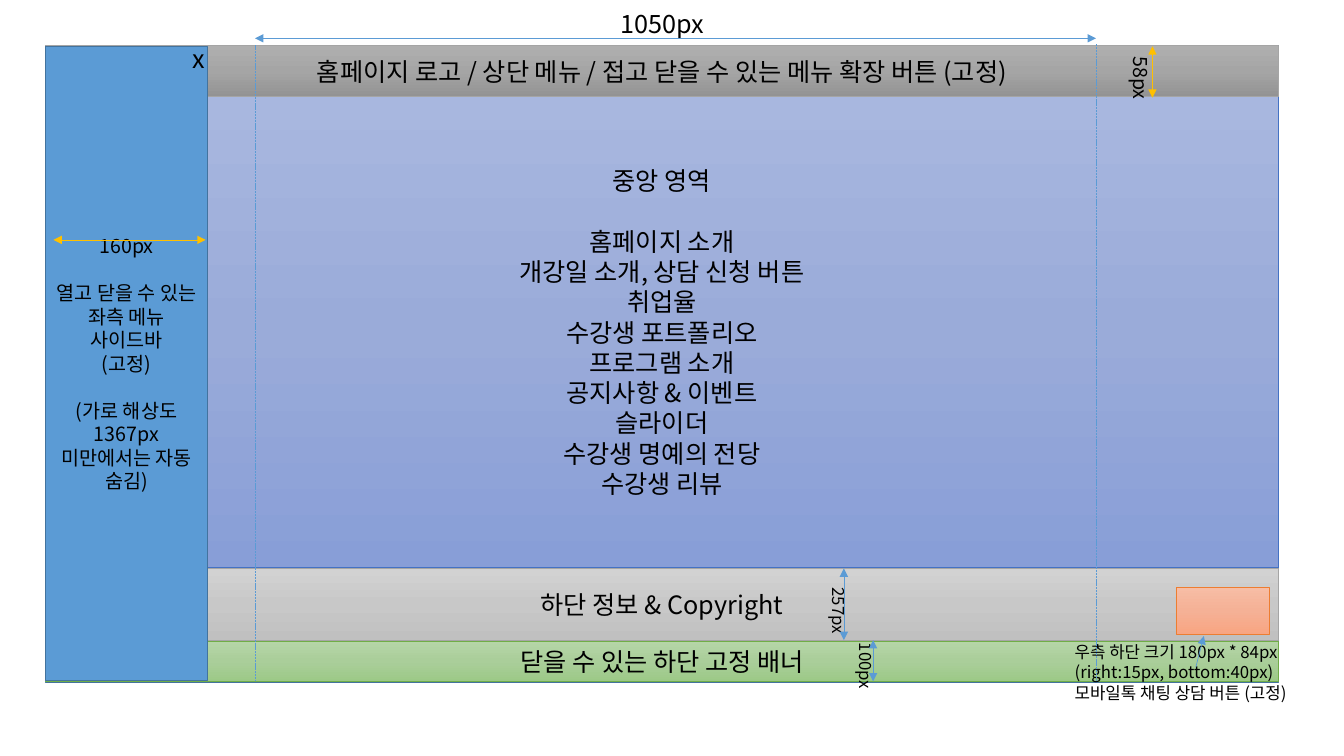
from dataclasses import dataclass
from copy import deepcopy
from lxml import etree
from pptx import Presentation
from pptx.dml.color import RGBColor
from pptx.enum.dml import MSO_LINE
from pptx.enum.shapes import MSO_CONNECTOR, MSO_SHAPE
from pptx.enum.text import PP_ALIGN
from pptx.oxml.ns import qn
from pptx.util import Inches, Pt

RECT = MSO_SHAPE.RECTANGLE
STRAIGHT = MSO_CONNECTOR.STRAIGHT
CENTER, LEFT = PP_ALIGN.CENTER, PP_ALIGN.LEFT
DASH = MSO_LINE.SQUARE_DOT


@dataclass(frozen=True)
class Theme:
    font: str = "Noto Sans CJK KR"
    large: int = 18
    medium: int = 14
    small: int = 12
    line_height: float = 1.2
    text: str = "000000"
    page: str = "E7E6E6"
    blue: str = "5B9BD5"
    navy: str = "43739E"
    gold: str = "FFC000"
    gray: str = "A5A5A5"
    green: str = "70AD47"
    indigo: str = "4472C4"
    orange: str = "ED7D31"
    header: tuple = ("AFAFAF", "A5A5A5", "939393")
    center: tuple = ("A8B7DF", "9AABD9", "889ED7")
    footer: tuple = ("D2D2D2", "C8C8C8", "C0C0C0")
    banner: tuple = ("B5D5A7", "AACE9A", "9CC987")
    button: tuple = ("F7BDA5", "F5B196", "F8A582")


T = Theme()


def write(tf, blocks, size, align):
    tf.word_wrap = True
    p = tf.paragraphs[0]
    for b, block in enumerate(blocks):
        for i, text in enumerate(block):
            if b or i:
                p = tf.add_paragraph()
            if b and i == 0:
                p.space_before = Pt(size * T.line_height)
            p.text = text
            p.alignment = align
            p.font.size = Pt(size)
            p.font.color.rgb = RGBColor.from_string(T.text)
            p.font.name = T.font
            ea = etree.SubElement(p._p.pPr.find(qn("a:defRPr")), qn("a:ea"))
            ea.set("typeface", T.font)


def add_box(x, y, w, h, fill, line, width, blocks=(), size=T.large):
    sp = s.shapes.add_shape(RECT, Inches(x), Inches(y), Inches(w), Inches(h))
    sp.shadow.inherit = False
    sp.line.color.rgb = RGBColor.from_string(line)
    sp.line.width = Pt(width)
    if isinstance(fill, str):
        sp.fill.solid()
        sp.fill.fore_color.rgb = RGBColor.from_string(fill)
    else:
        sp.fill.gradient()
        sp.fill.gradient_angle = 270
        first = sp.fill.gradient_stops[0]._gs
        first.addnext(deepcopy(first))
        for stop, color, pos in zip(sp.fill.gradient_stops, fill, (0, 0.5, 1)):
            stop.color.rgb = RGBColor.from_string(color)
            stop.position = pos
    write(sp.text_frame, blocks, size, CENTER)


prs = Presentation()
prs.slide_width, prs.slide_height = Inches(13.33), Inches(7.5)
s = prs.slides.add_slide(prs.slide_layouts[6])

page_x, page_w = 0.45, 12.23
add_box(page_x, 0.45, page_w, 6.32, T.page, T.navy, 1)

center_text = [
    ["중앙 영역"],
    ["홈페이지 소개", "개강일 소개, 상담 신청 버튼", "취업율", "수강생 포트폴리오",
     "프로그램 소개", "공지사항 & 이벤트", "슬라이더", "수강생 명예의 전당", "수강생 리뷰"],
]
bands = [
    (5.64, 0.71, T.footer, T.gray, [["하단 정보 & Copyright"]]),
    (6.36, 0.4, T.banner, T.green, [["닫을 수 있는 하단 고정 배너"]]),
    (0.96, 4.67, T.center, T.indigo, center_text),
    (0.45, 0.51, T.header, T.gray,
     [["홈페이지 로고 / 상단 메뉴 / 접고 닫을 수 있는 메뉴 확장 버튼 (고정)"]]),
]
for y, h, fill, line, blocks in bands:
    add_box(page_x, y, page_w, h, fill, line, 0.5, blocks)

sidebar_text = [
    ["160px"],
    ["열고 닫을 수 있는 좌측 메뉴", "사이드바", "(고정)"],
    ["(가로 해상도 1367px 미만에서는 자동 숨김)"],
]
add_box(page_x, 0.46, 1.61, 6.29, T.blue, T.navy, 1, sidebar_text, T.medium)
add_box(11.67, 5.83, 0.92, 0.46, T.button, T.orange, 0.5)

button_note = ["우측 하단 크기 180px * 84px", "(right:15px, bottom:40px)",
               "모바일톡 채팅 상담 버튼 (고정)"]
labels = [
    (1.81, 0.38, 0.47, 0.4, ["x"], T.large, False),
    (6.06, 0.03, 1.62, 0.4, ["1050px"], T.large, False),
    (10.56, 6.32, 2.75, 0.71, button_note, T.small, False),
    (11.05, 0.46, 0.44, 0.97, ["58px"], T.medium, True),
    (8.34, 6.28, 0.4, 0.74, ["100px"], T.small, True),
    (8.07, 5.73, 0.4, 1.02, ["257px"], T.small, True),
]
for x, y, w, h, lines, size, vertical in labels:
    tb = s.shapes.add_textbox(Inches(x), Inches(y), Inches(w), Inches(h))
    write(tb.text_frame, [lines], size, LEFT)
    if vertical:
        tb.text_frame._txBody.bodyPr.set("vert", "eaVert")

content_left, content_right = 2.53, 10.87
both, end, none = ("headEnd", "tailEnd"), ("tailEnd",), ()
lines = [
    (11.86, 6.62, 11.94, 6.31, T.blue, end),
    (8.66, 6.35, 8.66, 6.76, T.blue, both),
    (8.37, 5.64, 8.37, 6.35, T.blue, both),
    (11.43, 0.46, 11.43, 0.97, T.gold, both),
    (0.53, 2.38, 2.04, 2.38, T.gold, both),
    (content_left, 0.38, content_right, 0.38, T.blue, both),
    (content_left, 0.45, content_left, 6.76, T.blue, none),
    (content_right, 0.44, content_right, 6.76, T.blue, none),
]
for x1, y1, x2, y2, color, arrows in lines:
    c = s.shapes.add_connector(STRAIGHT, Inches(x1), Inches(y1), Inches(x2), Inches(y2))
    c.line.color.rgb = RGBColor.from_string(color)
    c.line.width = Pt(0.5)
    if not arrows:
        c.line.dash_style = DASH
    for arrow in arrows:
        etree.SubElement(c.line._get_or_add_ln(), qn("a:" + arrow)).set("type", "triangle")
    etree.SubElement(c._element.spPr, qn("a:effectLst"))

prs.save("out.pptx")
